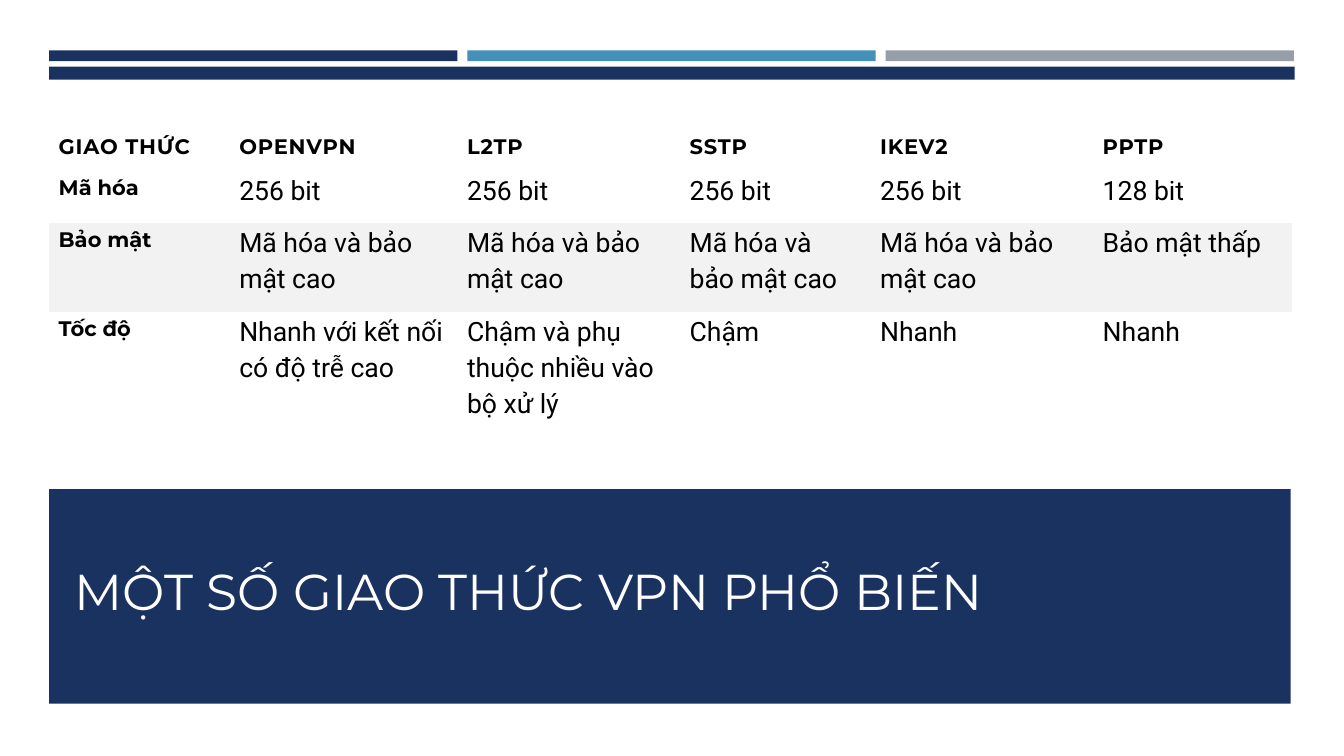
from dataclasses import dataclass

from pptx import Presentation
from pptx.dml.color import RGBColor
from pptx.enum.shapes import MSO_SHAPE
from pptx.enum.text import MSO_ANCHOR, MSO_AUTO_SIZE, PP_ALIGN
from pptx.oxml.ns import qn
from pptx.slide import Slide
from pptx.text.text import TextFrame
from pptx.util import Cm, Pt

RECTANGLE = MSO_SHAPE.RECTANGLE
TOP = MSO_ANCHOR.TOP
BOTTOM = MSO_ANCHOR.BOTTOM
LEFT = PP_ALIGN.LEFT
JUSTIFY = PP_ALIGN.JUSTIFY
NO_AUTOFIT = MSO_AUTO_SIZE.NONE

NAVY = RGBColor(0x1A, 0x32, 0x60)
BLUE = RGBColor(0x45, 0x90, 0xB8)
GRAY = RGBColor(0x96, 0x9F, 0xA7)
BAND_GRAY = RGBColor(0xF2, 0xF2, 0xF2)
WHITE = RGBColor(0xFF, 0xFF, 0xFF)
BLACK = RGBColor(0x00, 0x00, 0x00)

HEADING_FONT = "Montserrat"
BODY_FONT = "Roboto"
PLAIN_TABLE_STYLE = "{2D5ABB26-0587-4C30-8999-92F81FD0307C}"

MARGIN = 1.24
BAR_WIDTH = 10.29
BAR_PITCH = 10.54
BAND_ROW = 2


@dataclass(frozen=True)
class Block:
    left: float
    top: float
    width: float
    height: float
    color: RGBColor


BLOCKS = [
    Block(MARGIN, 1.68, 31.39, 3.51, NAVY),
    *(
        Block(MARGIN + index * BAR_PITCH, 1.27, BAR_WIDTH, 0.27, color)
        for index, color in enumerate((NAVY, BLUE, GRAY))
    ),
    Block(MARGIN, 8.56, 31.29, 9.17, NAVY),
    Block(0, 2.01, 33.87, 10.31, WHITE),
]

COLUMN_WIDTHS = [4.55, 5.74, 5.61, 4.8, 5.61, 5.0]
ROW_HEIGHTS = [1.42, 1.3, 2.24, 3.18]
HIGH_SECURITY = "Mã hóa và bảo mật cao"
PROTOCOL_ROWS = [
    ["GIAO THỨC", "OPENVPN", "L2TP", "SSTP", "IKEV2", "PPTP"],
    ["Mã hóa"] + ["256 bit"] * 4 + ["128 bit"],
    ["Bảo mật"] + [HIGH_SECURITY] * 4 + ["Bảo mật thấp"],
    [
        "Tốc độ",
        "Nhanh với kết nối có độ trễ cao",
        "Chậm và phụ thuộc nhiều vào bộ xử lý",
        "Chậm",
        "Nhanh",
        "Nhanh",
    ],
]


def write_text(
    frame: TextFrame,
    text: str,
    *,
    font: str,
    size: float,
    color: RGBColor,
    bold: bool = False,
    align: PP_ALIGN = LEFT,
    line_spacing: float = 1.0,
    tracking: float = 0,
) -> None:
    para = frame.paragraphs[0]
    para.alignment = align
    para.line_spacing = line_spacing
    span = para.add_run()
    span.text = text
    span.font.name = font
    span.font.size = Pt(size)
    span.font.bold = bold
    span.font.color.rgb = color
    if tracking:
        span._r.get_or_add_rPr().set("spc", str(round(tracking * 100)))


def draw_block(page: Slide, block: Block) -> None:
    box = page.shapes.add_shape(
        RECTANGLE, Cm(block.left), Cm(block.top), Cm(block.width), Cm(block.height)
    )
    box.shadow.inherit = False
    box.fill.solid()
    box.fill.fore_color.rgb = block.color
    box.line.fill.background()


def place_title(page: Slide, text: str) -> None:
    title = page.shapes.title
    title.left, title.top = Cm(1.63), Cm(12.8)
    title.width, title.height = Cm(30.53), Cm(2.97)
    frame = title.text_frame
    frame.word_wrap = True
    frame.auto_size = NO_AUTOFIT
    frame.vertical_anchor = BOTTOM
    write_text(frame, text, font=HEADING_FONT, size=36, color=WHITE)
    title.element.getparent().append(title.element)


def draw_protocol_table(page: Slide) -> None:
    holder = page.shapes.add_table(
        len(ROW_HEIGHTS),
        len(COLUMN_WIDTHS),
        Cm(MARGIN),
        Cm(2.9),
        Cm(sum(COLUMN_WIDTHS)),
        Cm(sum(ROW_HEIGHTS)),
    )
    holder.element.find(".//" + qn("a:tableStyleId")).text = PLAIN_TABLE_STYLE
    table = holder.table
    table.horz_banding = False
    for column, width in zip(table.columns, COLUMN_WIDTHS):
        column.width = Cm(width)
    for row, height in zip(table.rows, ROW_HEIGHTS):
        row.height = Cm(height)
    for row_index, texts in enumerate(PROTOCOL_ROWS):
        for column_index, text in enumerate(texts):
            is_header = row_index == 0
            is_label = column_index == 0
            is_heading = is_header or is_label
            cell = table.cell(row_index, column_index)
            cell.margin_left = cell.margin_right = Cm(0.24)
            cell.margin_top = Cm(0.3 if is_header else 0)
            cell.margin_bottom = Cm(0.3)
            cell.vertical_anchor = BOTTOM if is_header else TOP
            if row_index == BAND_ROW:
                cell.fill.solid()
                cell.fill.fore_color.rgb = BAND_GRAY
            else:
                cell.fill.background()
            write_text(
                cell.text_frame,
                text,
                font=HEADING_FONT if is_heading else BODY_FONT,
                size=15 if is_heading else 19,
                color=BLACK,
                bold=is_heading,
                align=JUSTIFY if is_label else LEFT,
                line_spacing=1.15,
                tracking=0.6 if is_header else 0,
            )


def main() -> None:
    deck = Presentation()
    deck.slide_width, deck.slide_height = Cm(33.87), Cm(19.05)
    page = deck.slides.add_slide(deck.slide_layouts[5])
    for block in BLOCKS:
        draw_block(page, block)
    place_title(page, "MỘT SỐ GIAO THỨC VPN PHỔ BIẾN")
    draw_protocol_table(page)
    deck.save("out.pptx")


if __name__ == "__main__":
    main()
